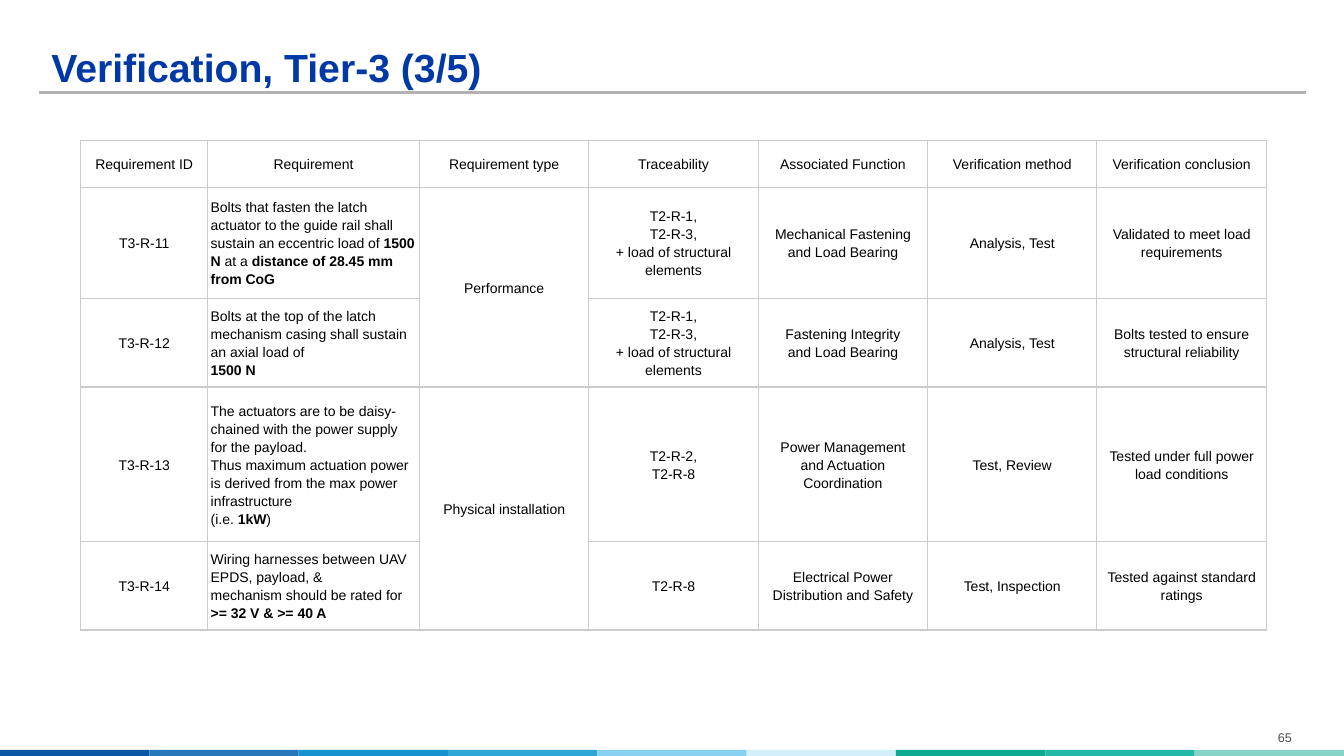
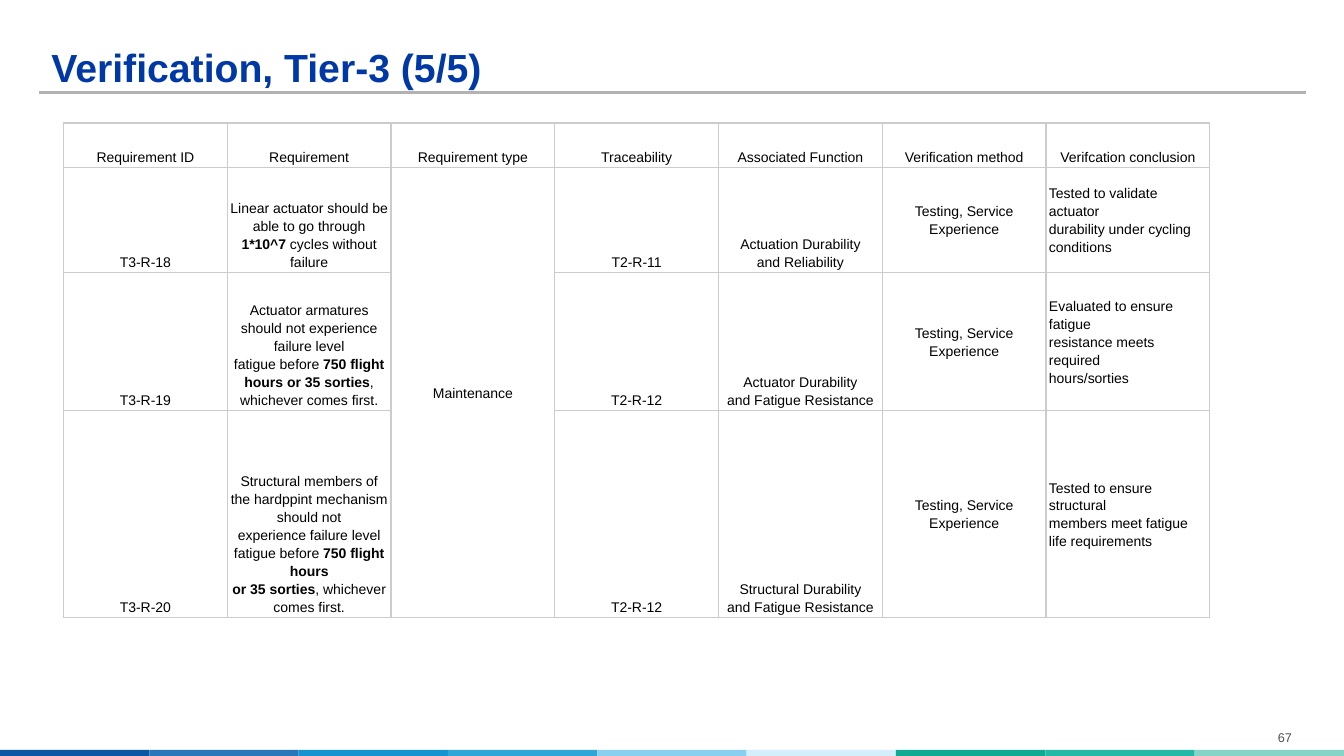
"""Build the Tier-3 verification slides."""
from dataclasses import dataclass

from lxml.etree import SubElement
from pptx import Presentation
from pptx.dml.color import RGBColor
from pptx.enum.shapes import MSO_CONNECTOR, MSO_SHAPE
from pptx.enum.text import MSO_ANCHOR, MSO_AUTO_SIZE, PP_ALIGN
from pptx.oxml.ns import qn
from pptx.util import Inches, Pt

SLIDE_WIDTH, SLIDE_HEIGHT = 13.33, 7.5
FONT = "Arial"
COLORS = {
    "title": "0039A6", "rule": "B2B2B2", "number": "4F4F4F",
    "text": "000000", "border": "CCCCCC",
}
BAND_COLORS = (
    "0B57A5", "2777BB", "1592D0", "2EA7D8", "87D0F0",
    "D2EFFB", "0EAB92", "24B9A6", "86D3C7",
)
HEADINGS = (
    "Requirement ID", "Requirement", "Requirement type", "Traceability",
    "Associated Function", "Verification method",
)
TYPE_COLUMN = 2


@dataclass(frozen=True)
class VerificationPage:
    title: str
    number: int
    left: float
    top: float
    widths: tuple[float, ...]
    heights: tuple[float, ...]
    left_aligned: int
    middle_columns: tuple[int, ...]
    type_spans: tuple[tuple[int, int], ...]
    rows: tuple[tuple[str, ...], ...]


PAGES = (
    VerificationPage(
        title="Verification, Tier-3 (3/5)", number=65, left=0.8, top=1.39,
        widths=(1.26, 2.1) + (1.68,) * 5,
        heights=(0.47, 1.1, 0.88, 1.53, 0.88),
        left_aligned=1, middle_columns=tuple(range(7)),
        type_spans=((1, 2), (3, 4)),
        rows=(
            HEADINGS + ("Verification conclusion",),
            ("T3-R-11",
             "Bolts that fasten the latch actuator to the guide rail shall\n"
             "sustain an eccentric load of **1500 N **at a **distance of 28.45 mm from CoG**",
             "Performance", "T2-R-1,\nT2-R-3,\n+ load of structural elements",
             "Mechanical Fastening\nand Load Bearing", "Analysis, Test",
             "Validated to meet load\nrequirements"),
            ("T3-R-12",
             "Bolts at the top of the latch mechanism casing shall sustain an axial load of\n"
             "**1500 N**",
             "", "T2-R-1,\nT2-R-3,\n+ load of structural elements",
             "Fastening Integrity\nand Load Bearing", "Analysis, Test",
             "Bolts tested to ensure\nstructural reliability"),
            ("T3-R-13",
             "The actuators are to be daisy-chained with the power supply for the payload.\n"
             "Thus maximum actuation power is derived from the max power infrastructure\n"
             "(i.e. **1kW**)",
             "Physical installation", "T2-R-2,\nT2-R-8",
             "Power Management\nand Actuation Coordination", "Test, Review",
             "Tested under full power\nload conditions"),
            ("T3-R-14",
             "Wiring harnesses between UAV EPDS, payload, &\n"
             "mechanism should be rated for **>= 32 V & >= 40 A**",
             "", "T2-R-8", "Electrical Power\nDistribution and Safety",
             "Test, Inspection", "Tested against standard\nratings"),
        ),
    ),
    VerificationPage(
        title="Verification, Tier-3 (5/5)", number=67, left=0.63, top=1.22,
        widths=(11.37 / 7,) * 7,
        heights=(0.44, 1.04, 1.37, 2.06),
        left_aligned=6, middle_columns=(TYPE_COLUMN, 5, 6),
        type_spans=((1, 3),),
        rows=(
            HEADINGS + ("Verifcation conclusion",),
            ("T3-R-18",
             "Linear actuator should be able to go through\n"
             "**1*10^7** cycles without failure",
             "Maintenance", "T2-R-11", "Actuation Durability\nand Reliability",
             "Testing, Service Experience",
             "Tested to validate actuator\ndurability under cycling\nconditions"),
            ("T3-R-19",
             "Actuator armatures should not experience failure level\n"
             "fatigue before **750 flight hours or 35 sorties**,\nwhichever comes first.",
             "", "T2-R-12", "Actuator Durability\nand Fatigue Resistance",
             "Testing, Service Experience",
             "Evaluated to ensure fatigue\nresistance meets required\nhours/sorties"),
            ("T3-R-20",
             "Structural members of the hardppint mechanism should not\n"
             "experience failure level fatigue before **750 flight hours**\n"
             "**or 35 sorties**, whichever comes first.",
             "", "T2-R-12", "Structural Durability\nand Fatigue Resistance",
             "Testing, Service Experience",
             "Tested to ensure structural\nmembers meet fatigue\nlife requirements"),
        ),
    ),
)


def write_text(frame, text: str, *, size: float, color: str, bold: bool = False,
               align=PP_ALIGN.LEFT, spacing: float = 1.0) -> None:
    """Write one paragraph per line, with double asterisks around bold spans."""
    frame.word_wrap = True
    for index, line in enumerate(text.split("\n")):
        para = frame.paragraphs[0] if index == 0 else frame.add_paragraph()
        para.alignment = align
        para.line_spacing = spacing
        for position, piece in enumerate(line.split("**")):
            if piece:
                span = para.add_run()
                span.text = piece
                span.font.name = FONT
                span.font.size = Pt(size)
                span.font.bold = bold or position % 2 == 1
                span.font.color.rgb = RGBColor.from_string(COLORS[color])


def set_borders(cell) -> None:
    """Outline a table cell on all four sides."""
    properties = cell._tc.get_or_add_tcPr()
    for side in ("lnL", "lnR", "lnT", "lnB"):
        line = SubElement(properties, qn(f"a:{side}"), w=str(Pt(0.94)))
        fill = SubElement(line, qn("a:solidFill"))
        SubElement(fill, qn("a:srgbClr"), val=COLORS["border"])


def add_frame(page, title: str, number: int) -> None:
    """Add the title, rule, page number and colour band."""
    step = SLIDE_WIDTH / len(BAND_COLORS)
    for index, color in enumerate(BAND_COLORS):
        band = page.shapes.add_shape(
            MSO_SHAPE.RECTANGLE, Inches(index * step), Inches(7.44), Inches(step), Inches(0.07))
        band.shadow.inherit = False
        band.fill.solid()
        band.fill.fore_color.rgb = RGBColor.from_string(color)
        band.line.fill.background()

    rule = page.shapes.add_connector(
        MSO_CONNECTOR.STRAIGHT, Inches(0.39), Inches(0.92), Inches(12.95), Inches(0.92))
    rule.line.color.rgb = RGBColor.from_string(COLORS["rule"])
    rule.line.width = Pt(2.25)
    SubElement(rule._element.spPr, qn("a:effectLst"))

    heading = page.shapes.title
    heading.left, heading.top = Inches(0.51), Inches(0.2)
    heading.width, heading.height = Inches(12.33), Inches(0.7)
    frame = heading.text_frame
    frame.auto_size = MSO_AUTO_SIZE.NONE
    frame.vertical_anchor = MSO_ANCHOR.BOTTOM
    frame.margin_left = frame.margin_right = frame.margin_top = frame.margin_bottom = 0
    write_text(frame, title, size=28, color="title", bold=True, spacing=0.9)

    box = page.shapes.add_textbox(Inches(12.33), Inches(7.19), Inches(0.83), Inches(0.26))
    write_text(box.text_frame, str(number), size=9, color="number", align=PP_ALIGN.CENTER)


def add_verification_table(page, content: VerificationPage) -> None:
    """Add the requirement table with its merged type cells."""
    table = page.shapes.add_table(
        len(content.rows), len(content.widths), Inches(content.left), Inches(content.top),
        Inches(sum(content.widths)), Inches(sum(content.heights))).table
    table.first_row = table.horz_banding = False
    for column, width in zip(table.columns, content.widths):
        column.width = Inches(width)
    for row, height in zip(table.rows, content.heights):
        row.height = Inches(height)

    for row_index, texts in enumerate(content.rows):
        for column_index, text in enumerate(texts):
            cell = table.cell(row_index, column_index)
            is_body = row_index > 0
            is_left = is_body and column_index == content.left_aligned
            is_middle = column_index in content.middle_columns and (
                is_body or len(content.middle_columns) == len(texts))
            set_borders(cell)
            cell.fill.background()
            cell.margin_left = cell.margin_right = Inches(0.03)
            cell.margin_top = cell.margin_bottom = Inches(0.02)
            cell.vertical_anchor = MSO_ANCHOR.MIDDLE if is_middle else MSO_ANCHOR.BOTTOM
            write_text(cell.text_frame, text, size=10, color="text", spacing=1.15,
                       align=PP_ALIGN.LEFT if is_left else PP_ALIGN.CENTER)

    for first, last in content.type_spans:
        table.cell(first, TYPE_COLUMN).merge(table.cell(last, TYPE_COLUMN))


def main() -> None:
    """Build and save the deck."""
    deck = Presentation()
    deck.slide_width, deck.slide_height = Inches(SLIDE_WIDTH), Inches(SLIDE_HEIGHT)
    for content in PAGES:
        page = deck.slides.add_slide(deck.slide_layouts[5])
        add_frame(page, content.title, content.number)
        add_verification_table(page, content)
    deck.save("out.pptx")


if __name__ == "__main__":
    main()
